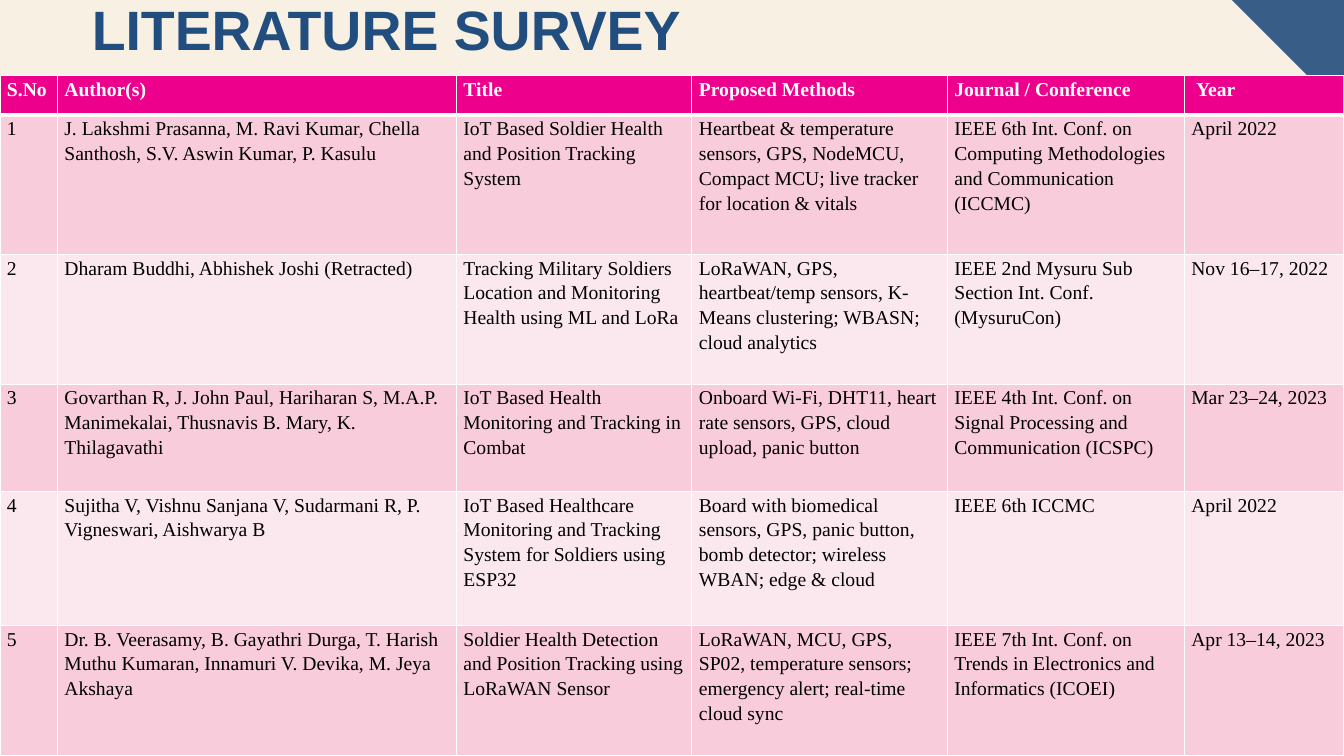
import pptx
import pptx.util
import pptx.dml.color
import pptx.enum.text
import pptx.oxml
import pptx.oxml.ns

Pt = pptx.util.Pt
RGBColor = pptx.dml.color.RGBColor

TITLE = "LITERATURE SURVEY"
HEADS = ["S.No", "Author(s)", "Title", "Proposed Methods", "Journal / Conference", "Year"]
PAPERS = [
    ("J. Lakshmi Prasanna, M. Ravi Kumar, Chella Santhosh, S.V. Aswin Kumar, P. Kasulu",
     "IoT Based Soldier Health and Position Tracking System",
     "Heartbeat & temperature sensors, GPS, NodeMCU, Compact MCU; live tracker for location & vitals",
     "IEEE 6th Int. Conf. on Computing Methodologies and Communication (ICCMC)",
     "April 2022"),
    ("Dharam Buddhi, Abhishek Joshi (Retracted)",
     "Tracking Military Soldiers Location and Monitoring Health using ML and LoRa",
     "LoRaWAN, GPS, heartbeat/temp sensors, K-Means clustering; WBASN; cloud analytics",
     "IEEE 2nd Mysuru Sub Section Int. Conf. (MysuruCon)",
     "Nov 16–17, 2022"),
    ("Govarthan R, J. John Paul, Hariharan S, M.A.P. Manimekalai, Thusnavis B. Mary, K. Thilagavathi",
     "IoT Based Health Monitoring and Tracking in Combat",
     "Onboard Wi-Fi, DHT11, heart rate sensors, GPS, cloud upload, panic button",
     "IEEE 4th Int. Conf. on Signal Processing and Communication (ICSPC)",
     "Mar 23–24, 2023"),
    ("Sujitha V, Vishnu Sanjana V, Sudarmani R, P. Vigneswari, Aishwarya B",
     "IoT Based Healthcare Monitoring and Tracking System for Soldiers using ESP32",
     "Board with biomedical sensors, GPS, panic button, bomb detector; wireless WBAN; edge & cloud",
     "IEEE 6th ICCMC",
     "April 2022"),
    ("Dr. B. Veerasamy, B. Gayathri Durga, T. Harish Muthu Kumaran, Innamuri V. Devika, M. Jeya Akshaya",
     "Soldier Health Detection and Position Tracking using LoRaWAN Sensor",
     "LoRaWAN, MCU, GPS, SP02, temperature sensors; emergency alert; real-time cloud sync",
     "IEEE 7th Int. Conf. on Trends in Electronics and Informatics (ICOEI)",
     "Apr 13–14, 2023"),
]
WIDTHS = [41, 285, 168.25, 182.5, 169.25, 114]
HEIGHTS = [28.25, 99.5, 92.75, 76.5, 95.75, 93]

WIDE, HIGH, TOP, CORNER = 960, 540, 54, 80
INSET, SHIFT = 5, 3.5

CREAM = RGBColor(0xF8, 0xF0, 0xE3)
STEEL = RGBColor(0x38, 0x5E, 0x88)
NAVY = RGBColor(0x22, 0x4E, 0x7F)
PINK = RGBColor(0xEC, 0x00, 0x8C)
ROSE = RGBColor(0xF8, 0xCC, 0xDA)
BLUSH = RGBColor(0xFB, 0xE7, 0xEE)
WHITE = RGBColor(0xFF, 0xFF, 0xFF)
BLACK = RGBColor(0, 0, 0)


def style(para, face, size, color, bold, lead):
    para.line_spacing = lead
    font = para.font
    font.name, font.size, font.bold = face, Pt(size), bold
    font.color.rgb = color


def set_edge(cell, side, width):
    props = cell._tc.get_or_add_tcPr()
    line = pptx.oxml.parse_xml(
        f'<a:{side} {pptx.oxml.ns.nsdecls("a")} w="{Pt(width)}">'
        f'<a:solidFill><a:srgbClr val="{WHITE}"/></a:solidFill></a:{side}>')
    props.append(line)


def add_corner(slide):
    left = WIDE - CORNER
    pen = slide.shapes.build_freeform(Pt(left), Pt(0))
    pen.add_line_segments([(Pt(WIDE), Pt(0)), (Pt(WIDE), Pt(CORNER))], close=True)
    shape = pen.convert_to_shape()
    shape.shadow.inherit = False
    shape.fill.solid()
    shape.fill.fore_color.rgb = STEEL
    shape.line.fill.background()


def add_title(slide):
    frame = slide.shapes.add_textbox(Pt(58.5), Pt(0), Pt(484), Pt(47)).text_frame
    frame.word_wrap = True
    frame.vertical_anchor = pptx.enum.text.MSO_ANCHOR.MIDDLE
    frame.text = TITLE
    style(frame.paragraphs[0], "Arial", 39.6, NAVY, True, 0.9)


def fill_cell(cell, text, row, col):
    head = row == 0
    cell.text = text
    cell.margin_left = Pt(INSET + (SHIFT if head and col == len(HEADS) - 1 else 0))
    cell.margin_right = Pt(INSET)
    cell.margin_top = cell.margin_bottom = Pt(0)
    style(cell.text_frame.paragraphs[0], "Times New Roman", 14,
          WHITE if head else BLACK, head, 1.15)
    for side in ("lnL", "lnR", "lnT", "lnB"):
        thick = (head and side == "lnB") or (row == 1 and side == "lnT")
        set_edge(cell, side, 3 if thick else 1)
    cell.fill.solid()
    cell.fill.fore_color.rgb = PINK if head else ROSE if row % 2 else BLUSH


def add_survey(slide):
    rows = [HEADS] + [(str(num), *paper) for num, paper in enumerate(PAPERS, 1)]
    table = slide.shapes.add_table(len(rows), len(HEADS), Pt(0), Pt(TOP),
                                   Pt(WIDE), Pt(sum(HEIGHTS))).table
    for col, width in zip(table.columns, WIDTHS):
        col.width = Pt(width)
    for row, height in zip(table.rows, HEIGHTS):
        row.height = Pt(height)
    for r, texts in enumerate(rows):
        for c, text in enumerate(texts):
            fill_cell(table.cell(r, c), text, r, c)


def main():
    deck = pptx.Presentation()
    deck.slide_width, deck.slide_height = Pt(WIDE), Pt(HIGH)
    slide = deck.slides.add_slide(deck.slide_layouts[6])
    slide.background.fill.solid()
    slide.background.fill.fore_color.rgb = CREAM
    add_corner(slide)
    add_title(slide)
    add_survey(slide)
    deck.save("out.pptx")


if __name__ == "__main__":
    main()
